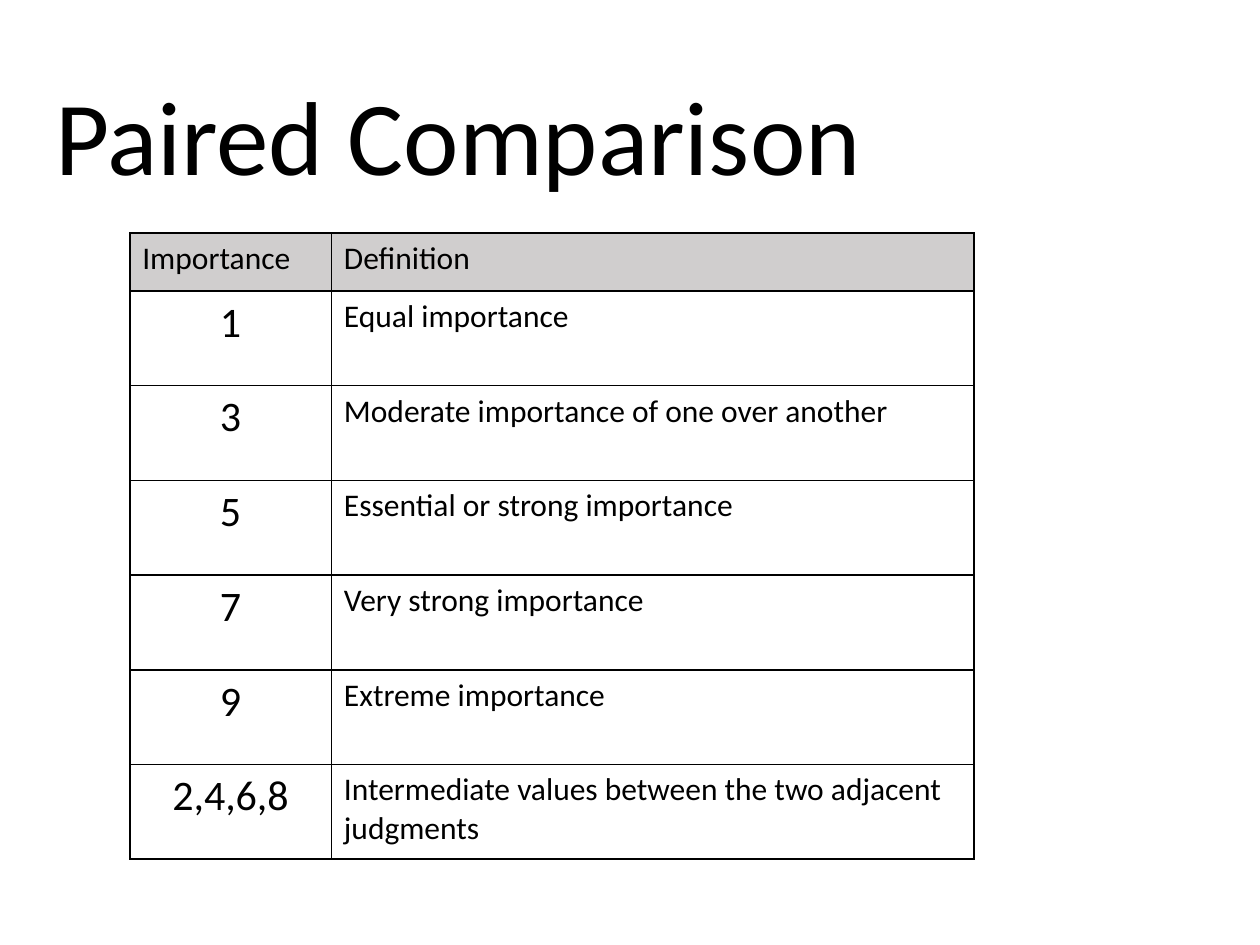
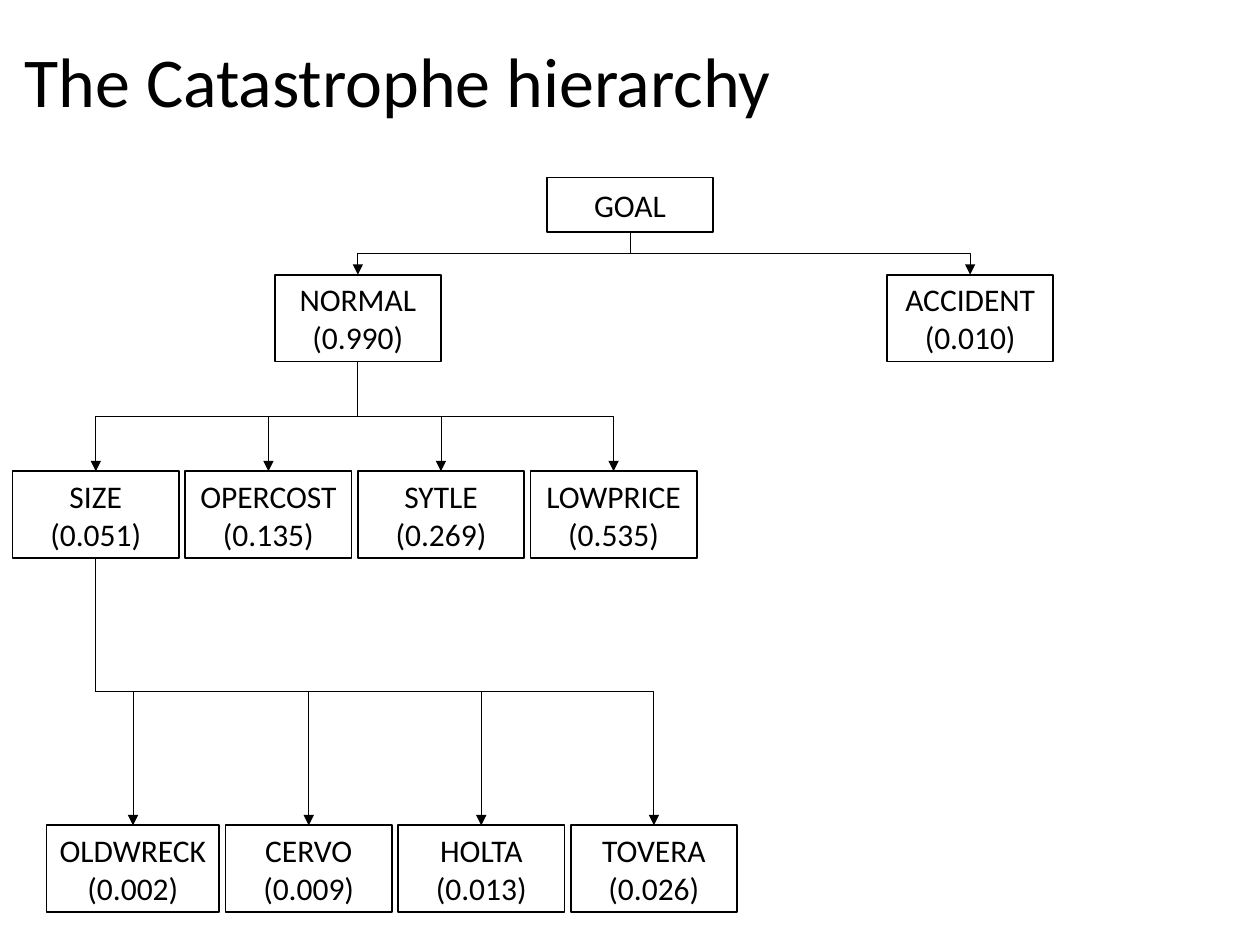
import pptx
import pptx.util
import pptx.dml.color
import pptx.enum.shapes
import pptx.enum.text
import pptx.oxml
import pptx.oxml.ns
from lxml import etree

COLORS = {"ink": "000000", "header": "D0CECE"}
FONT = "Calibri"
GRID_COLS, GRID_ROWS = 100, 75
SLIDE_W, SLIDE_H = pptx.util.Inches(10), pptx.util.Inches(7.5)
ALIGN = pptx.enum.text.PP_ALIGN
ANCHOR = pptx.enum.text.MSO_ANCHOR

IMPORTANCE = [
    ("Importance", "Definition"),
    ("1", "Equal importance"),
    ("3", "Moderate importance of one over another"),
    ("5", "Essential or strong importance"),
    ("7", "Very strong importance"),
    ("9", "Extreme importance"),
    ("2,4,6,8", "Intermediate values between the two adjacent judgments"),
]

NODE_W, NODE_H, GOAL_H, PITCH = 13.2, 6.9, 4.3, 13.7
LEVELS = [
    (0, None, [("GOAL", 42.4)]),
    (7.7, "GOAL", [("NORMAL\n(0.990)", 20.8), ("ACCIDENT\n(0.010)", 69.4)]),
    (23.3, "NORMAL", [(text, i * PITCH) for i, text in enumerate(
        ["SIZE\n(0.051)", "OPERCOST\n(0.135)", "SYTLE\n(0.269)", "LOWPRICE\n(0.535)"])]),
    (51.4, "SIZE", [("OLDWRECK\n(0.002)", 2.7)] + [(text, 16.9 + i * PITCH) for i, text in enumerate(
        ["CERVO\n(0.009)", "HOLTA\n(0.013)", "TOVERA\n(0.026)"])]),
]


def cols(n):
    """Convert grid columns to a length."""
    return pptx.util.Emu(round(n * SLIDE_W / GRID_COLS))


def rows(n):
    """Convert grid rows to a length."""
    return pptx.util.Emu(round(n * SLIDE_H / GRID_ROWS))


def rgb(name):
    """Look up a named colour."""
    return pptx.dml.color.RGBColor.from_string(COLORS[name])


def write(tf, text, size=18, align=ALIGN.LEFT, spacing=None):
    """Write one paragraph per line of text in the given format."""
    for i, line in enumerate(text.split("\n")):
        p = tf.add_paragraph() if i else tf.paragraphs[0]
        p.alignment = align
        p.line_spacing = spacing
        r = p.add_run()
        r.text = line
        r.font.size = pptx.util.Pt(size)
        r.font.name = FONT
        r.font.color.rgb = rgb("ink")


def add_title(s, box, text, size):
    """Place a slide title, centred vertically in its box."""
    x, y, w, h = box
    tf = s.shapes.add_textbox(cols(x), rows(y), cols(w), rows(h)).text_frame
    tf.word_wrap = True
    tf.vertical_anchor = ANCHOR.MIDDLE
    write(tf, text, size, spacing=0.9)


def add_borders(cell):
    """Draw a thin line on all four sides of a cell."""
    tcPr = cell._tc.get_or_add_tcPr()
    for side in "LRTB":
        tcPr.append(pptx.oxml.parse_xml(
            f'<a:ln{side} {pptx.oxml.ns.nsdecls("a")} w="12700"><a:solidFill>'
            f'<a:srgbClr val="{COLORS["ink"]}"/></a:solidFill></a:ln{side}>'))


def add_scale_table(s, box, first_col=16, header_row=4.6):
    """Build the importance scale within its box."""
    x, y, w, h = box
    table = s.shapes.add_table(len(IMPORTANCE), 2, cols(x), rows(y), cols(w), rows(h)).table
    table.first_row = table.horz_banding = False
    table.columns[0].width = cols(first_col)
    table.columns[1].width = cols(w - first_col)
    body_row = (h - header_row) / (len(IMPORTANCE) - 1)
    for i, record in enumerate(IMPORTANCE):
        table.rows[i].height = rows(body_row if i else header_row)
        for j, text in enumerate(record):
            cell = table.cell(i, j)
            add_borders(cell)
            if i:
                cell.fill.background()
            else:
                cell.fill.solid()
                cell.fill.fore_color.rgb = rgb("header")
            is_value = i > 0 and j == 0
            write(cell.text_frame, text, 24 if is_value else 18,
                  ALIGN.CENTER if is_value else ALIGN.LEFT)


def add_node(s, box, text):
    """Place one outlined box of the hierarchy."""
    x, y, w, h = box
    sp = s.shapes.add_shape(pptx.enum.shapes.MSO_SHAPE.RECTANGLE, cols(x), rows(y), cols(w), rows(h))
    sp.shadow.inherit = False
    sp.fill.background()
    sp.line.color.rgb = rgb("ink")
    sp.line.width = pptx.util.Pt(1)
    tf = sp.text_frame
    tf.word_wrap = False
    tf.vertical_anchor = ANCHOR.MIDDLE
    write(tf, text, align=ALIGN.CENTER)
    return sp


def add_branch(s, parent, child):
    """Join parent bottom to child top with a vertical-first elbow arrow."""
    x1, y1 = parent.left + parent.width // 2, parent.top + parent.height
    x2, y2 = child.left + child.width // 2, child.top
    link = s.shapes.add_connector(pptx.enum.shapes.MSO_CONNECTOR.ELBOW, x1, y1, x2, y2)
    link.begin_connect(parent, 2)
    link.end_connect(child, 0)
    link.width, link.height = y2 - y1, abs(x2 - x1)
    link.left = (x1 + x2 - link.width) // 2
    link.top = (y1 + y2 - link.height) // 2
    spPr = link._element.spPr
    xfrm = spPr.find(pptx.oxml.ns.qn("a:xfrm"))
    xfrm.set("rot", str((270 if x2 > x1 else 90) * 60000))
    xfrm.set("flipH", "1" if x2 > x1 else "0")
    link.line.color.rgb = rgb("ink")
    link.line.width = pptx.util.Pt(0.5)
    ln = spPr.find(pptx.oxml.ns.qn("a:ln"))
    etree.SubElement(ln, pptx.oxml.ns.qn("a:tailEnd"), type="triangle")
    etree.SubElement(spPr, pptx.oxml.ns.qn("a:effectLst"))


def add_hierarchy(s, origin):
    """Build every level of the hierarchy from its top left corner."""
    x, y = origin
    nodes = {}
    for top, parent, children in LEVELS:
        for text, left in children:
            name = text.split("\n")[0]
            w = PITCH if name == "OLDWRECK" else NODE_W
            h = NODE_H if parent else GOAL_H
            nodes[name] = add_node(s, (x + left, y + top, w, h), text)
            if parent:
                add_branch(s, nodes[parent], nodes[name])


def main():
    """Build both slides and save the presentation."""
    prs = pptx.Presentation()
    prs.slide_width, prs.slide_height = SLIDE_W, SLIDE_H
    blank = prs.slide_layouts[6]
    s = prs.slides.add_slide(blank)
    add_title(s, (3.4, 4, 86.2, 14.5), "Paired Comparison", 60)
    add_scale_table(s, (10.3, 18.5, 67, 49.7))
    s = prs.slides.add_slide(blank)
    add_title(s, (1, 1.1, 89.7, 11.3), "The Catastrophe hierarchy", 40)
    add_hierarchy(s, (1, 14.1))
    prs.save("out.pptx")


if __name__ == "__main__":
    main()
